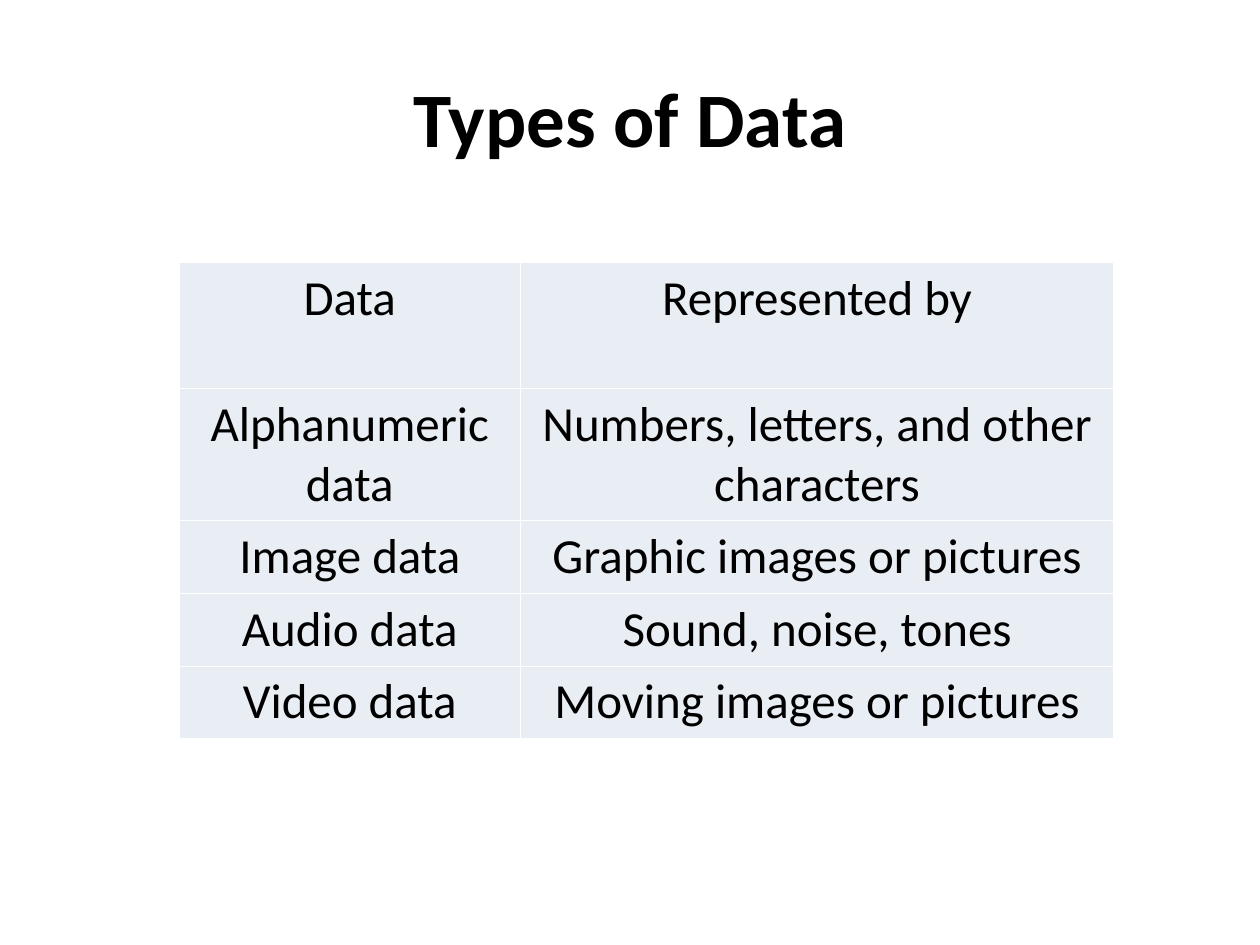
from dataclasses import dataclass

from lxml import etree
from pptx import Presentation
from pptx.dml.color import RGBColor
from pptx.enum.text import MSO_ANCHOR, PP_ALIGN
from pptx.oxml.ns import qn
from pptx.slide import Slide
from pptx.table import _Cell
from pptx.text.text import TextFrame
from pptx.util import Cm, Pt

CENTER = PP_ALIGN.CENTER
MIDDLE = MSO_ANCHOR.MIDDLE
TITLE_ONLY = 5


@dataclass(frozen=True)
class Theme:
    font: str = "Calibri"
    ink: str = "000000"
    fill: str = "E9EDF4"
    rule: str = "FFFFFF"
    rule_size: float = 0.45
    title_size: int = 44
    body_size: int = 28


@dataclass(frozen=True)
class Row:
    kind: str
    form: str
    height: float


THEME = Theme()
WIDTHS = (6.88, 11.96)
ROWS = (
    Row("Data", "Represented by", 2.54),
    Row("Alphanumeric data", "Numbers, letters, and other characters", 2.36),
    Row("Image data", "Graphic images or pictures", 1.19),
    Row("Audio data", "Sound, noise, tones", 1.19),
    Row("Video data", "Moving images or pictures", 1.19),
)


def write(frame: TextFrame, text: str, size: int, bold: bool = False) -> None:
    frame.text = text
    line = frame.paragraphs[0]
    line.alignment = CENTER
    for run in line.runs:
        run.font.name = THEME.font
        run.font.size = Pt(size)
        run.font.bold = bold
        run.font.color.rgb = RGBColor.from_string(THEME.ink)


def add_rules(cell: _Cell) -> None:
    props = cell._tc.get_or_add_tcPr()
    for side in ("L", "R", "T", "B"):
        line = etree.SubElement(props, qn(f"a:ln{side}"), w=str(Pt(THEME.rule_size)))
        fill = etree.SubElement(line, qn("a:solidFill"))
        etree.SubElement(fill, qn("a:srgbClr"), val=THEME.rule)


def draw_cell(cell: _Cell, text: str) -> None:
    add_rules(cell)
    cell.fill.solid()
    cell.fill.fore_color.rgb = RGBColor.from_string(THEME.fill)
    write(cell.text_frame, text, THEME.body_size)


def draw_title(slide: Slide, text: str) -> None:
    title = slide.shapes.title
    title.left, title.top = Cm(1.27), Cm(0.76)
    title.width, title.height = Cm(22.86), Cm(3.18)
    title.text_frame.vertical_anchor = MIDDLE
    write(title.text_frame, text, THEME.title_size, bold=True)


def draw_table(slide: Slide, rows: tuple[Row, ...]) -> None:
    width = Cm(sum(WIDTHS))
    height = Cm(sum(row.height for row in rows))
    table = slide.shapes.add_table(
        len(rows), len(WIDTHS), Cm(3.61), Cm(5.29), width, height
    ).table
    table.first_row = False
    table.horz_banding = False
    for col, size in zip(table.columns, WIDTHS):
        col.width = Cm(size)
    for line, row in zip(table.rows, rows):
        line.height = Cm(row.height)
        for cell, text in zip(line.cells, (row.kind, row.form)):
            draw_cell(cell, text)


def main() -> None:
    deck = Presentation()
    deck.slide_width, deck.slide_height = Cm(25.4), Cm(19.05)
    slide = deck.slides.add_slide(deck.slide_layouts[TITLE_ONLY])
    draw_title(slide, "Types of Data")
    draw_table(slide, ROWS)
    deck.save("out.pptx")


if __name__ == "__main__":
    main()
